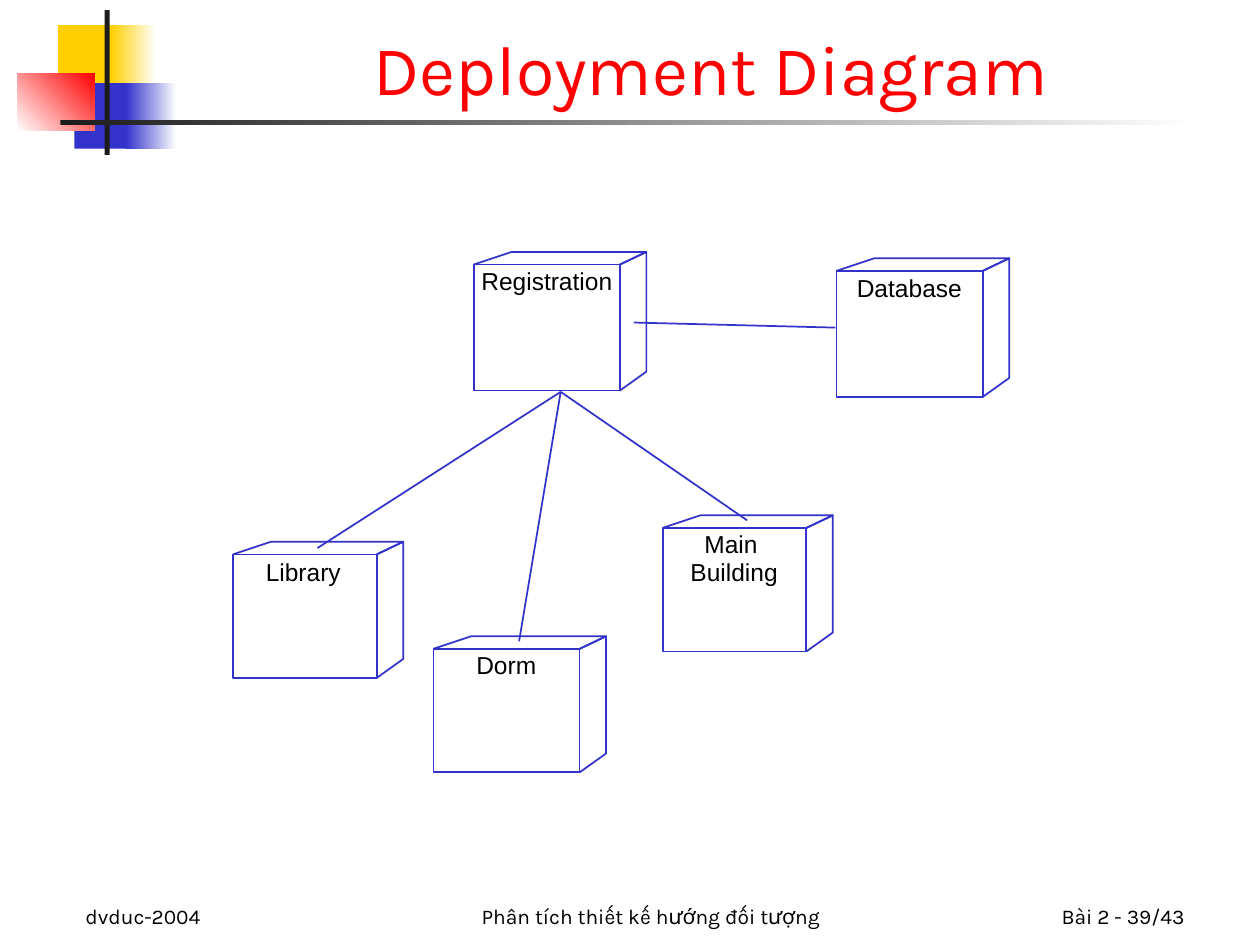
import pptx
import pptx.dml.color
import pptx.enum.shapes
import pptx.enum.text
import pptx.oxml
import pptx.oxml.ns
import pptx.util

Inches = pptx.util.Inches
ALIGN = pptx.enum.text.PP_ALIGN
ANCHOR = pptx.enum.text.MSO_ANCHOR

COLORS = {
    "yellow": "FFCF01",
    "blue": "3333CC",
    "red": "FF0000",
    "dark": "1C1C1C",
    "white": "FFFFFF",
    "black": "000000",
}

# Cube geometry: depth of the top face, depth of the side face, slants
TOP_DEPTH, SIDE_DEPTH = 0.1, 0.21
TOP_SLANT, SIDE_SLANT = 0.3, 0.15

# left, top, front width, total height, labels as (text, left, top, width)
NODES = [
    (3.76, 2.0, 1.16, 1.1, [("Registration", 3.82, 2.11, 1.08)]),
    (6.64, 2.05, 1.16, 1.1, [("Database", 6.8, 2.17, 0.88)]),
    (1.85, 4.3, 1.14, 1.08, [("Library", 2.11, 4.42, 0.64)]),
    (3.44, 5.05, 1.16, 1.08, [("Dorm", 3.78, 5.16, 0.52)]),
    (5.26, 4.09, 1.14, 1.08,
     [("Main", 5.59, 4.2, 0.48), ("Building", 5.48, 4.42, 0.75)]),
]

HUB = (4.45, 3.11)
LINKS = [
    (HUB, (2.52, 4.35)),
    (HUB, (4.12, 5.09)),
    (HUB, (5.93, 4.13)),
    ((5.03, 2.56), (6.63, 2.6)),
]

# left, top, width, height, start colour, end colour (None is solid), angle
DECORATION = [
    (0.46, 0.2, 0.48, 0.52, "yellow", None, 0),
    (0.88, 0.2, 0.36, 0.52, "yellow", "white", 0),
    (0.59, 0.66, 0.46, 0.52, "blue", None, 0),
    (1.0, 0.66, 0.4, 0.52, "blue", "white", 0),
    (0.14, 0.58, 0.61, 0.46, "white", "red", 45),
    (0.83, 0.08, 0.04, 1.15, "dark", None, 0),
    (0.48, 0.95, 9.0, 0.04, "dark", "white", 0),
]

FOOTERS = [
    ("dvduc-2004", 0.58, 2.08, ALIGN.LEFT),
    ("Phân tích thiết kế hướng đối tượng", 3.25, 3.83, ALIGN.CENTER),
    ("Bài 2 - 39/43", 7.42, 2.08, ALIGN.RIGHT),
]


def color(name):
    return pptx.dml.color.RGBColor.from_string(COLORS[name])


class DiagramSlide:
    heading_font = "Karla"
    label_font = "Arial"

    def __init__(self, slide):
        self.slide = slide

    def style_text(self, shape, text, font, size, ink="black", align=ALIGN.LEFT):
        shape.text_frame.text = text
        paragraph = shape.text_frame.paragraphs[0]
        paragraph.alignment = align
        for run in paragraph.runs:
            run.font.name = font
            run.font.size = pptx.util.Pt(size)
            run.font.color.rgb = color(ink)

    def outline(self, shape):
        """Leave only a thin blue line on the shape."""
        shape.shadow.inherit = False
        shape.fill.background()
        shape.line.color.rgb = color("blue")
        shape.line.width = pptx.util.Pt(1)

    def title(self, text):
        shape = self.slide.shapes.title
        shape.left, shape.top = Inches(1.5), Inches(0.08)
        shape.width, shape.height = Inches(8.28), Inches(0.84)
        shape.text_frame.vertical_anchor = ANCHOR.BOTTOM
        self.style_text(shape, text, self.heading_font, 40, "red", ALIGN.CENTER)

    def footer(self, text, left, width, align):
        box = self.slide.shapes.add_textbox(
            Inches(left), Inches(6.92), Inches(width), Inches(0.5))
        box.text_frame.word_wrap = True
        box.text_frame.vertical_anchor = ANCHOR.BOTTOM
        self.style_text(box, text, self.heading_font, 12, align=align)

    def block(self, left, top, width, height, start, end, angle):
        """Add a borderless rectangle, solid or with a two-colour gradient."""
        shape = self.slide.shapes.add_shape(
            pptx.enum.shapes.MSO_SHAPE.RECTANGLE,
            Inches(left), Inches(top), Inches(width), Inches(height))
        shape.shadow.inherit = False
        shape.line.fill.background()
        if end is None:
            shape.fill.solid()
            shape.fill.fore_color.rgb = color(start)
            return
        shape.fill.gradient()
        shape.fill.gradient_angle = angle
        for stop, name, position in zip(
                shape.fill.gradient_stops, (start, end), (0, 1)):
            stop.color.rgb = color(name)
            stop.position = position

    def face(self, shapes, points):
        """Add an open outline through the points."""
        first, *others = [(Inches(x), Inches(y)) for x, y in points]
        builder = shapes.build_freeform(*first)
        builder.add_line_segments(others, close=False)
        self.outline(builder.convert_to_shape())

    def label(self, shapes, text, left, top, width):
        box = shapes.add_textbox(
            Inches(left), Inches(top), Inches(width), Inches(0.23))
        frame = box.text_frame
        frame.margin_left = frame.margin_right = 0
        frame.margin_top = frame.margin_bottom = 0
        frame.word_wrap = False
        self.style_text(box, text, self.label_font, 14)

    def node(self, left, top, width, height, labels):
        """Add a grouped cube with its labels."""
        shapes = self.slide.shapes.add_group_shape().shapes
        right, front_top, bottom = left + width, top + TOP_DEPTH, top + height
        back = right + SIDE_DEPTH
        front = shapes.add_shape(
            pptx.enum.shapes.MSO_SHAPE.RECTANGLE,
            Inches(left), Inches(front_top),
            Inches(width), Inches(height - TOP_DEPTH))
        self.outline(front)
        self.face(shapes, [(left, front_top), (left + TOP_SLANT, top),
                           (back, top), (right, front_top)])
        self.face(shapes, [(right, front_top), (back, top),
                           (back, bottom - SIDE_SLANT), (right, bottom)])
        for label in labels:
            self.label(shapes, *label)

    def link(self, start, end):
        connector = self.slide.shapes.add_connector(
            pptx.enum.shapes.MSO_CONNECTOR.STRAIGHT,
            *[Inches(value) for value in start + end])
        connector.line.color.rgb = color("blue")
        connector.line.width = pptx.util.Pt(1)
        properties = connector._element.spPr
        properties.append(pptx.oxml.parse_xml(
            f"<a:effectLst {pptx.oxml.ns.nsdecls('a')}/>"))


def main():
    presentation = pptx.Presentation()
    presentation.slide_width = Inches(10)
    presentation.slide_height = Inches(7.5)
    slide = presentation.slides.add_slide(presentation.slide_layouts[5])
    diagram = DiagramSlide(slide)
    for block in DECORATION:
        diagram.block(*block)
    diagram.title("Deployment Diagram")
    for footer in FOOTERS:
        diagram.footer(*footer)
    for node in NODES:
        diagram.node(*node)
    for link in LINKS:
        diagram.link(*link)
    presentation.save("out.pptx")


if __name__ == "__main__":
    main()
